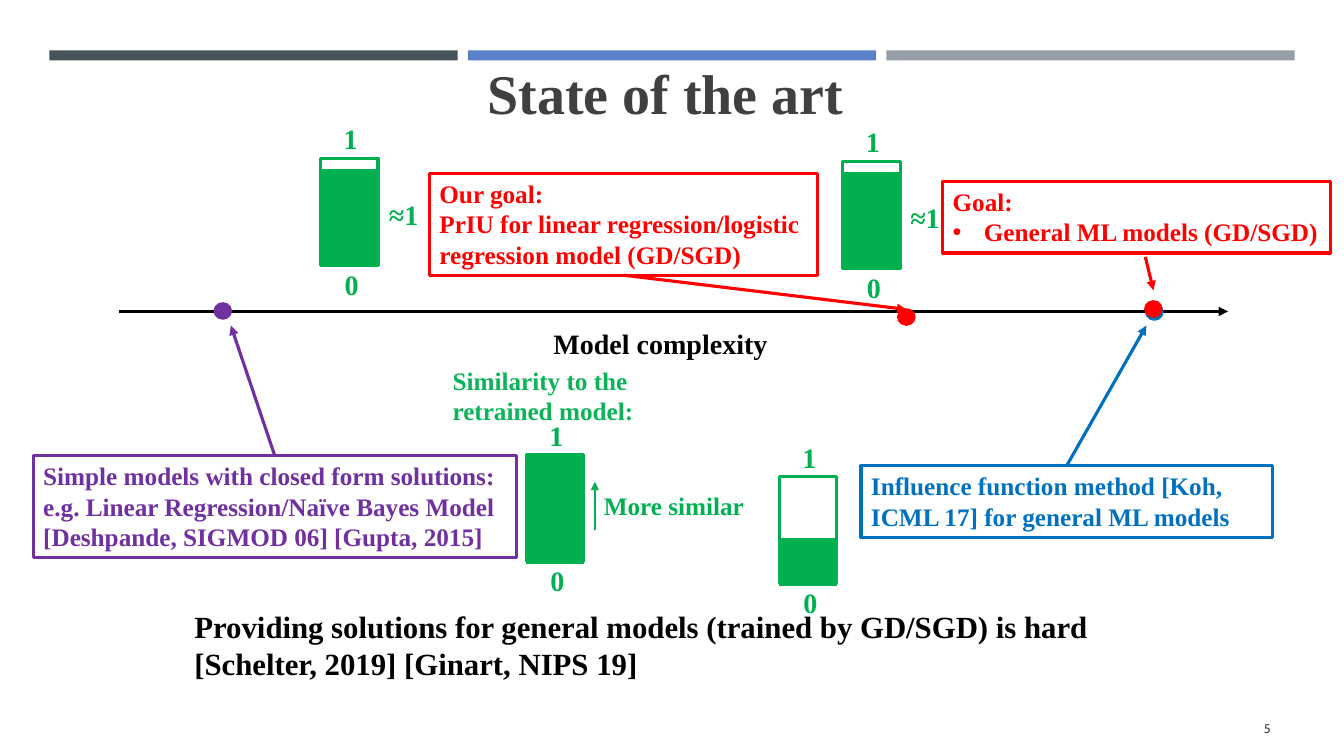
from lxml import etree
from pptx import Presentation
from pptx.dml.color import RGBColor
from pptx.enum.dml import MSO_PATTERN
from pptx.enum.shapes import MSO_CONNECTOR, MSO_SHAPE
from pptx.enum.text import MSO_ANCHOR, PP_ALIGN
from pptx.oxml.ns import qn
from pptx.util import Inches, Pt

BLACK, GRAY, WHITE = "000000", "404040", "FFFFFF"
PURPLE, BLUE, RED, GREEN = "7030A0", "0070C0", "FF0000", "00B050"
rgb = RGBColor.from_string

deck = Presentation()
deck.slide_width, deck.slide_height = Inches(13.33), Inches(7.5)
page = deck.slides.add_slide(deck.slide_layouts[6])


def add_shape(left, top, width, height, kind=MSO_SHAPE.RECTANGLE, fill=None, line=None, weight=2.25):
    shape = page.shapes.add_shape(kind, Inches(left), Inches(top), Inches(width), Inches(height))
    shape.shadow.inherit = False
    if fill:
        shape.fill.solid()
        shape.fill.fore_color.rgb = rgb(fill)
    else:
        shape.fill.background()
    if line:
        shape.line.color.rgb = rgb(line)
        shape.line.width = Pt(weight)
    else:
        shape.line.fill.background()
    return shape


def add_text(text, left=0, top=0, width=1, height=0.44, box=None, size=18, color=BLACK,
             bold=True, font="Times New Roman", align=PP_ALIGN.LEFT, anchor=MSO_ANCHOR.TOP):
    if box is None:
        box = page.shapes.add_textbox(Inches(left), Inches(top), Inches(width), Inches(height))
    frame = box.text_frame
    frame.word_wrap = True
    frame.vertical_anchor = anchor
    for index, words in enumerate(text.split("\n")):
        para = frame.paragraphs[0] if index == 0 else frame.add_paragraph()
        para.alignment = align
        span = para.add_run()
        span.text = words
        span.font.name, span.font.size, span.font.bold = font, Pt(size), bold
        span.font.color.rgb = rgb(color)
    return box


# Header bars, title and page number
for index, color in enumerate(["465359", "5A82CB", "969FA7"]):
    add_shape(0.49 + index * 4.15, 0.5, 4.05, 0.1, fill=color)
add_text("State of the art", 1.12, 0.53, 10.96, 1.43, size=40, color=GRAY, align=PP_ALIGN.CENTER)
add_text("5", 11.55, 7.03, 1.15, 0.4, size=9, color=GRAY, bold=False, font="Cabin",
         align=PP_ALIGN.RIGHT, anchor=MSO_ANCHOR.MIDDLE)

# Captions
add_text("Model complexity", 5.39, 3.19, 2.63, size=20)
add_text("Similarity to the retrained model:", 4.39, 3.57, 2.49, 0.71, color="0CB458")
add_text("More similar", 5.89, 4.82, 1.61, 0.4, color=GREEN)
conclusion = add_shape(1.83, 5.98, 10, 0.84, fill=WHITE)
add_text("Providing solutions for general models (trained by GD/SGD) is hard "
         "[Schelter, 2019] [Ginart, NIPS 19]", box=conclusion, size=22)

# Callouts
callouts = {}
for name, color, place, text in [
    ("simple", PURPLE, (0.33, 4.52, 4.79, 1.01),
     "Simple models with closed form solutions:\n"
     "e.g. Linear Regression/Naïve Bayes Model [Deshpande, SIGMOD 06] [Gupta, 2015]"),
    ("influence", BLUE, (8.54, 4.62, 4.08, 0.71),
     "Influence function method [Koh, ICML 17] for general ML models"),
    ("general", RED, (9.35, 1.8, 3.85, 0.71), "Goal:\nGeneral ML models (GD/SGD)"),
    ("ours", RED, (4.26, 1.72, 3.85, 1.01),
     "Our goal:\nPrIU for linear regression/logistic regression model (GD/SGD)"),
]:
    callouts[name] = add_shape(*place, fill=WHITE, line=color)
    add_text(text, box=callouts[name], color=color)

bullet_format = callouts["general"].text_frame.paragraphs[1]._p.get_or_add_pPr()
bullet_format.set("marL", str(Inches(0.31)))
bullet_format.set("indent", str(-Inches(0.31)))
etree.SubElement(bullet_format, qn("a:buFont")).set("typeface", "Arial")
etree.SubElement(bullet_format, qn("a:buChar")).set("char", "•")

# Axis and arrows: start, end, colour, weight, callout and side it leaves from
for start, end, color, weight, source, side in [
    ((1.18, 3.09), (12.18, 3.09), BLACK, 2.25, None, None),
    ((2.72, 4.52), (2.29, 3.23), PURPLE, 2.25, "simple", 0),
    ((10.58, 4.62), (11.37, 3.23), BLUE, 2.25, "influence", 0),
    ((11.36, 2.55), (11.44, 2.88), RED, 2.25, None, None),
    ((6.18, 2.73), (8.99, 3.07), RED, 2.25, "ours", 2),
    ((5.9, 5.26), (5.9, 4.78), GREEN, 1, None, None),
]:
    arrow = page.shapes.add_connector(MSO_CONNECTOR.STRAIGHT, *map(Inches, start + end))
    if source:
        arrow.begin_connect(callouts[source], side)
    arrow.line.color.rgb = rgb(color)
    arrow.line.width = Pt(weight)
    etree.SubElement(arrow.line._get_or_add_ln(), qn("a:tailEnd")).set("type", "triangle")
    etree.SubElement(arrow._element.spPr, qn("a:effectLst"))

# Dots on the axis
for left, top, color in [(2.13, 3.01, PURPLE), (11.37, 3.02, BLUE),
                         (11.36, 2.99, RED), (8.91, 3.07, RED)]:
    add_shape(left, top, 0.16, 0.15, MSO_SHAPE.OVAL, fill=color, line=color, weight=1.75)

# Similarity gauges: place, then offset and height of the level
for left, top, offset, level in [(3.18, 1.57, 0.1, 0.98), (7.73, 4.73, 0.6, 0.48),
                                 (5.22, 4.51, 0, 1.09), (8.36, 1.6, 0.1, 0.98)]:
    bar = add_shape(left, top + offset, 0.57, level)
    bar.fill.patterned()
    bar.fill.pattern = MSO_PATTERN.DARK_HORIZONTAL
    bar.fill.fore_color.rgb = rgb(GREEN)
    bar.fill.back_color.rgb = rgb(WHITE)
    add_shape(left, top, 0.57, 1.06, line=GREEN)
    add_text("1", left + 0.13, top - 0.41, 0.37, size=20, color=GREEN)
    add_text("0", left + 0.14, top + 1.03, 0.37, size=20, color=GREEN)

for left, top in [(3.76, 1.91), (8.93, 1.94)]:
    add_text("≈1", left, top, 0.64, size=20, color=GREEN)

deck.save("out.pptx")
